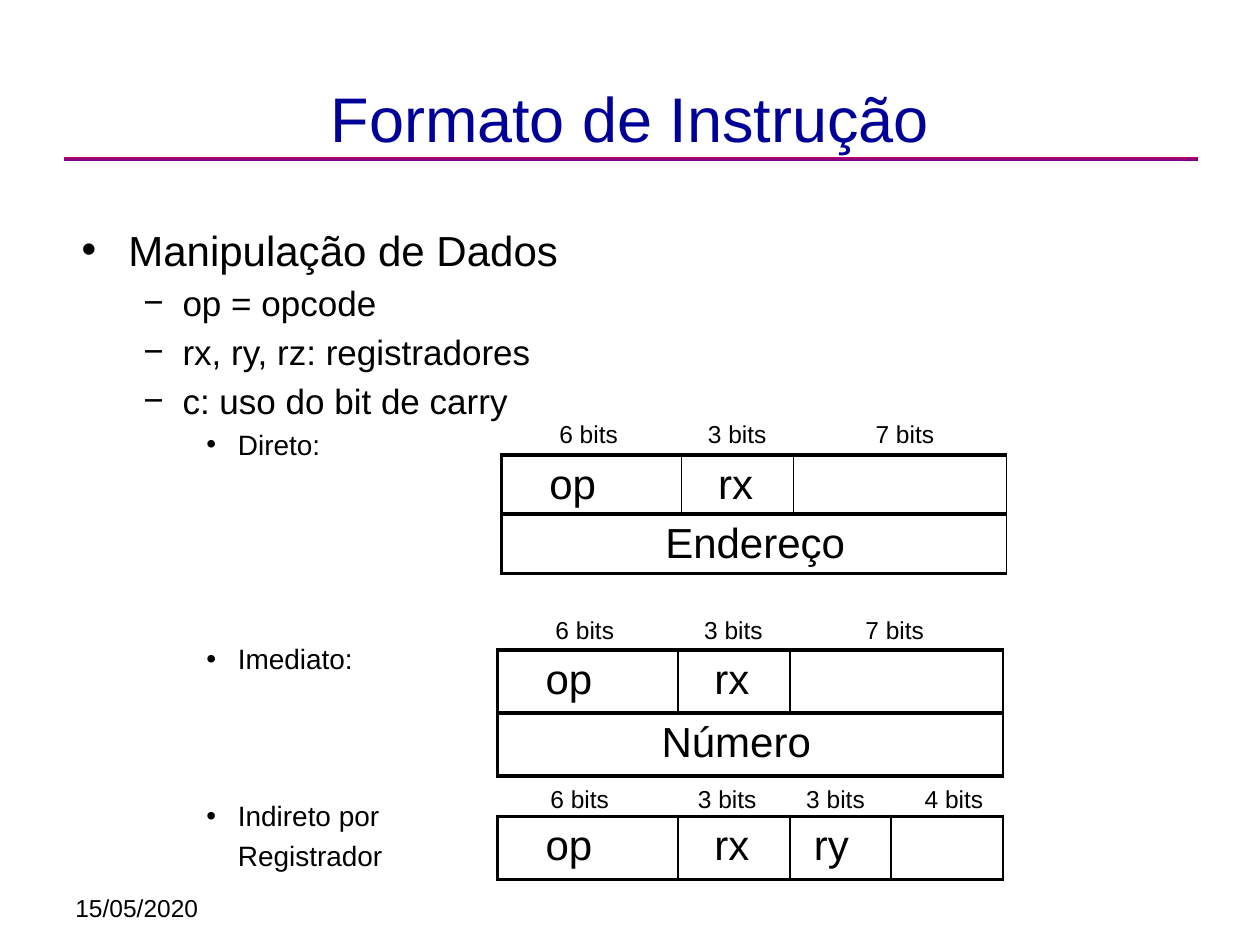
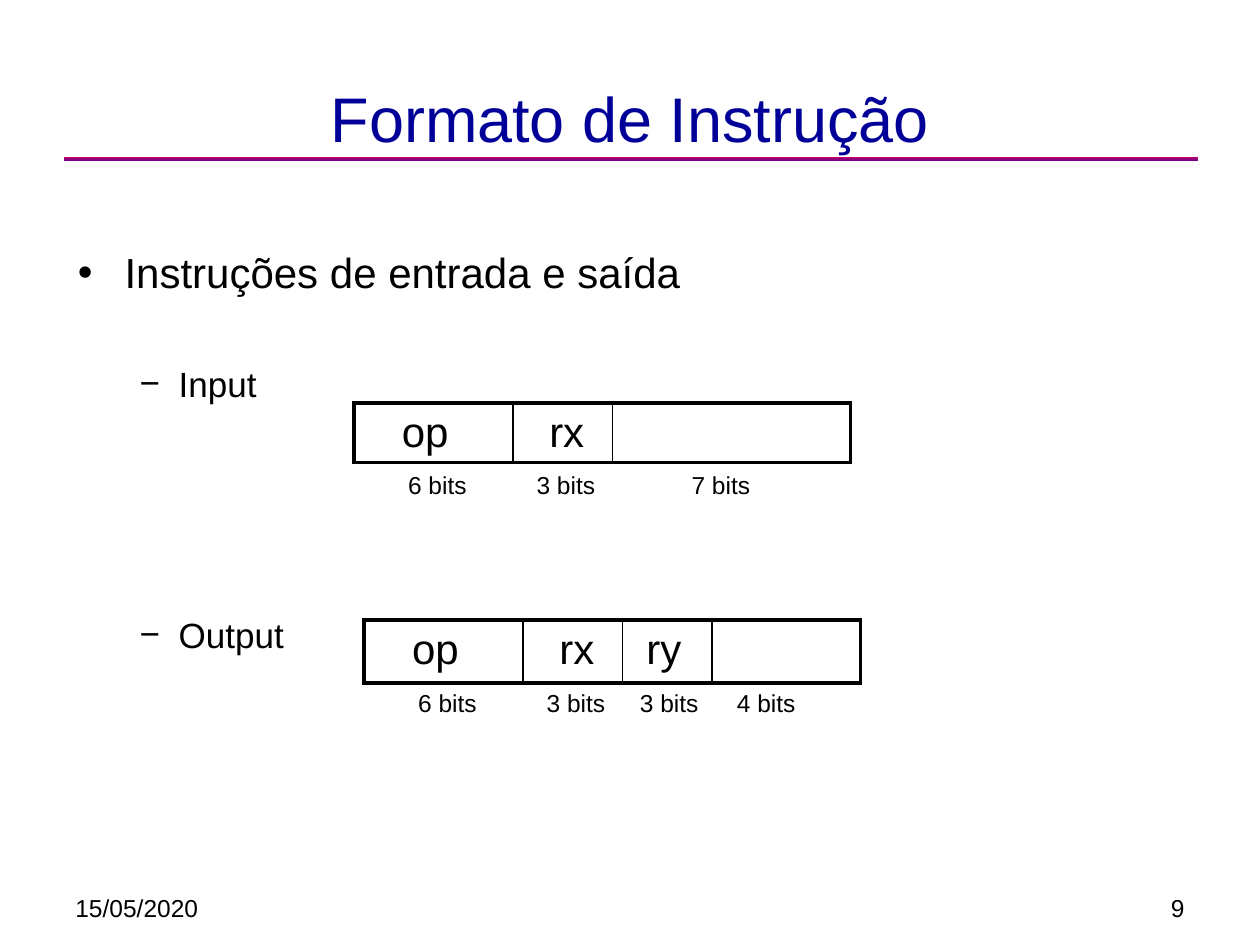
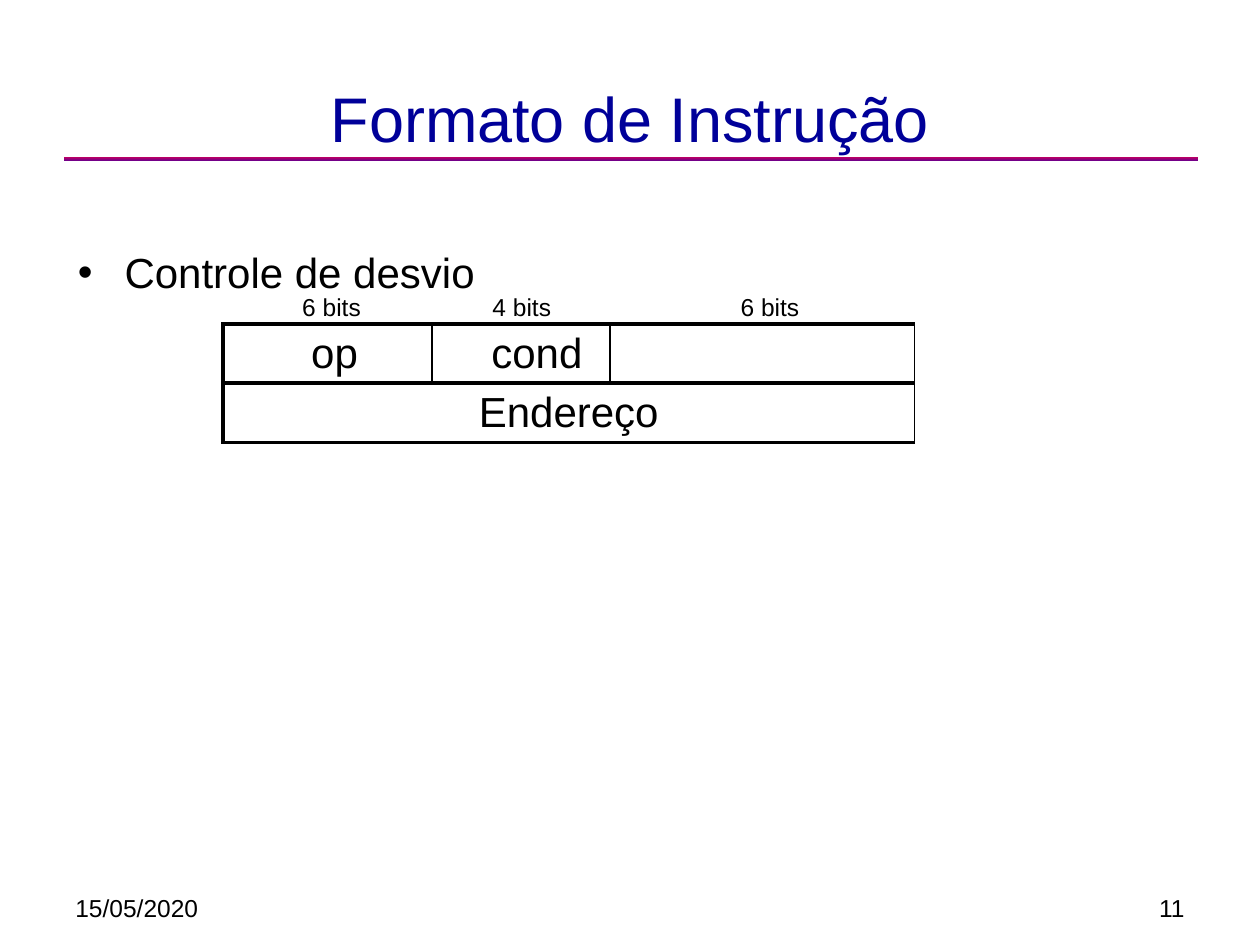
from lxml.etree import SubElement
from pptx import Presentation
from pptx.dml.color import RGBColor
from pptx.enum.shapes import MSO_SHAPE
from pptx.enum.text import MSO_ANCHOR, PP_ALIGN
from pptx.oxml.ns import qn
from pptx.util import Inches, Pt

COLORS = {
    "text": "000000",
    "title": "000099",
    "rule_start": "66008F",
    "rule_end": "BA0066",
}
FONT = "Arial"
HEAVY, LIGHT = 2.21, 0.96
LEVELS = {
    "topic": dict(size=24, bullet="•", margin=0.38, hanging=0.37),
    "item": dict(size=20, bullet="−", margin=0.81, hanging=0.31),
    "mode": dict(size=16, bullet="•", margin=1.25, hanging=0.25),
    "continued": dict(size=16, bullet=None, margin=1.25, hanging=0),
}
OP, RX, RY, UNUSED = ("op", 0.38), ("rx", 0.29), ("ry", 0.19), ("", 0.1)


class InstructionDeck:
    def __init__(self):
        self.deck = Presentation()
        self.deck.slide_width = Inches(10)
        self.deck.slide_height = Inches(7.5)
        self.page = None

    def new_page(self, title, date, number=None):
        self.page = self.deck.slides.add_slide(self.deck.slide_layouts[6])
        self.rule()
        self.text(title, 0.51, 0.49, 8.98, 0.79, size=36, color="title",
                  align=PP_ALIGN.CENTER, anchor=MSO_ANCHOR.BOTTOM)
        self.text(date, 0.5, 7.04, 2.33, 0.4)
        if number:
            self.text(number, 7.17, 7.04, 2.33, 0.4, align=PP_ALIGN.RIGHT)

    def rule(self):
        rule = self.page.shapes.add_shape(
            MSO_SHAPE.RECTANGLE, Inches(0.51), Inches(1.25), Inches(9), Inches(0.03))
        rule.shadow.inherit = False
        rule.line.fill.background()
        rule.fill.gradient()
        rule.fill.gradient_angle = 90
        for stop, name in zip(rule.fill.gradient_stops, ("rule_start", "rule_end")):
            stop.color.rgb = RGBColor.from_string(COLORS[name])

    def style(self, para, size, color="text"):
        para.font.name = FONT
        para.font.size = Pt(size)
        para.font.color.rgb = RGBColor.from_string(COLORS[color])

    def frame(self, left, top, width, height):
        box = self.page.shapes.add_textbox(
            Inches(left), Inches(top), Inches(width), Inches(height))
        box.text_frame.word_wrap = True
        return box.text_frame

    def text(self, words, left, top, width, height, size=14, color="text",
             align=PP_ALIGN.LEFT, anchor=MSO_ANCHOR.TOP):
        frame = self.frame(left, top, width, height)
        frame.vertical_anchor = anchor
        para = frame.paragraphs[0]
        para.text = words
        para.alignment = align
        self.style(para, size, color)

    def outline(self, left, top, height, entries):
        frame = self.frame(left, top, 8.98, height)
        for index, (level, words, space) in enumerate(entries):
            para = frame.add_paragraph() if index else frame.paragraphs[0]
            para.text = words
            para.space_before = Pt(space)
            self.bullet(para, **LEVELS[level])

    def bullet(self, para, size, bullet, margin, hanging):
        properties = para._p.get_or_add_pPr()
        properties.set("marL", str(Inches(margin)))
        properties.set("indent", str(-Inches(hanging)))
        if bullet:
            SubElement(properties, qn("a:buFont")).set("typeface", FONT)
            SubElement(properties, qn("a:buChar")).set("char", bullet)
        else:
            SubElement(properties, qn("a:buNone"))
        self.style(para, size)

    def word_format(self, left, top, row_height, widths, fields, operand=None,
                    right_edge=LIGHT):
        rows = 2 if operand else 1
        table = self.page.shapes.add_table(
            rows, len(widths), Inches(left), Inches(top),
            Inches(sum(widths)), Inches(row_height * rows)).table
        table.first_row = table.horz_banding = False
        for column, width in zip(table.columns, widths):
            column.width = Inches(width)
        for row in table.rows:
            row.height = Inches(row_height)
            for index, cell in enumerate(row.cells):
                self.borders(cell, L=LIGHT if index else HEAVY,
                             R=right_edge if index == len(widths) - 1 else LIGHT,
                             T=HEAVY, B=HEAVY)
                cell.fill.background()
        for index, field in enumerate(fields):
            self.field(table.cell(0, index), *field)
        if operand:
            table.cell(1, 0).merge(table.cell(1, len(widths) - 1))
            self.field(table.cell(1, 0), *operand)

    def field(self, cell, words, indent):
        cell.margin_left = Inches(indent)
        cell.margin_right = Inches(0)
        cell.margin_top = Inches(0.05)
        cell.margin_bottom = Inches(0.02)
        para = cell.text_frame.paragraphs[0]
        para.text = words
        self.style(para, 24)

    def borders(self, cell, **edges):
        properties = cell._tc.get_or_add_tcPr()
        for side, width in edges.items():
            line = SubElement(properties, qn(f"a:ln{side}"), w=str(Pt(width)))
            fill = SubElement(line, qn("a:solidFill"))
            SubElement(fill, qn("a:srgbClr"), val=COLORS["text"])

    def bit_counts(self, top, counts):
        for left, bits in counts:
            self.text(f"{bits} bits", left, top, 0.75, 0.33)


def main():
    title, date = "Formato de Instrução", "15/05/2020"
    slides = InstructionDeck()

    slides.new_page(title, date)
    slides.outline(0.54, 1.73, 5.25, [
        ("topic", "Manipulação de Dados", 0),
        ("item", "op = opcode", 4),
        ("item", "rx, ry, rz: registradores", 4),
        ("item", "c: uso do bit de carry", 4),
        ("mode", "Direto:", 3.2),
        ("mode", "Imediato:", 103.5),
        ("mode", "Indireto por", 70.5),
        ("continued", "Registrador", 3.2),
    ])
    two_word_widths = [1.43, 0.89, 1.69]
    slides.word_format(3.98, 3.61, 0.47, two_word_widths, [OP, RX, UNUSED],
                       ("Endereço", 1.3))
    slides.bit_counts(3.28, [(4.34, 6), (5.52, 3), (6.85, 7)])
    slides.word_format(3.95, 5.16, 0.5, two_word_widths, [OP, RX, UNUSED],
                       ("Número", 1.3))
    slides.bit_counts(4.83, [(4.31, 6), (5.49, 3), (6.77, 7)])
    slides.word_format(3.95, 6.48, 0.5, [1.43, 0.89, 0.8, 0.89],
                       [OP, RX, RY, UNUSED])
    slides.bit_counts(6.17, [(4.27, 6), (5.44, 3), (6.3, 3), (7.24, 4)])

    slides.new_page(title, date, "9")
    slides.outline(0.51, 1.91, 4.84, [
        ("topic", "Instruções de entrada e saída", 0),
        ("item", "Input", 37.5),
        ("item", "Output", 119),
    ])
    slides.word_format(2.81, 3.2, 0.47, [1.26, 0.79, 1.89], [OP, RX, UNUSED],
                       right_edge=HEAVY)
    slides.bit_counts(3.68, [(3.14, 6), (4.16, 3), (5.39, 7)])
    slides.word_format(2.89, 4.92, 0.5, [1.26, 0.79, 0.71, 1.18],
                       [OP, RX, RY, UNUSED], right_edge=HEAVY)
    slides.bit_counts(5.41, [(3.22, 6), (4.24, 3), (4.98, 3), (5.75, 4)])

    slides.new_page(title, date, "11")
    slides.outline(0.51, 1.91, 4.84, [("topic", "Controle de desvio", 0)])
    slides.word_format(1.77, 2.57, 0.47, [1.66, 1.41, 2.42],
                       [("op", 0.7), ("cond", 0.47), UNUSED], ("Endereço", 2.03))
    slides.bit_counts(2.27, [(2.3, 6), (3.81, 4), (5.78, 6)])

    slides.deck.save("out.pptx")


if __name__ == "__main__":
    main()
